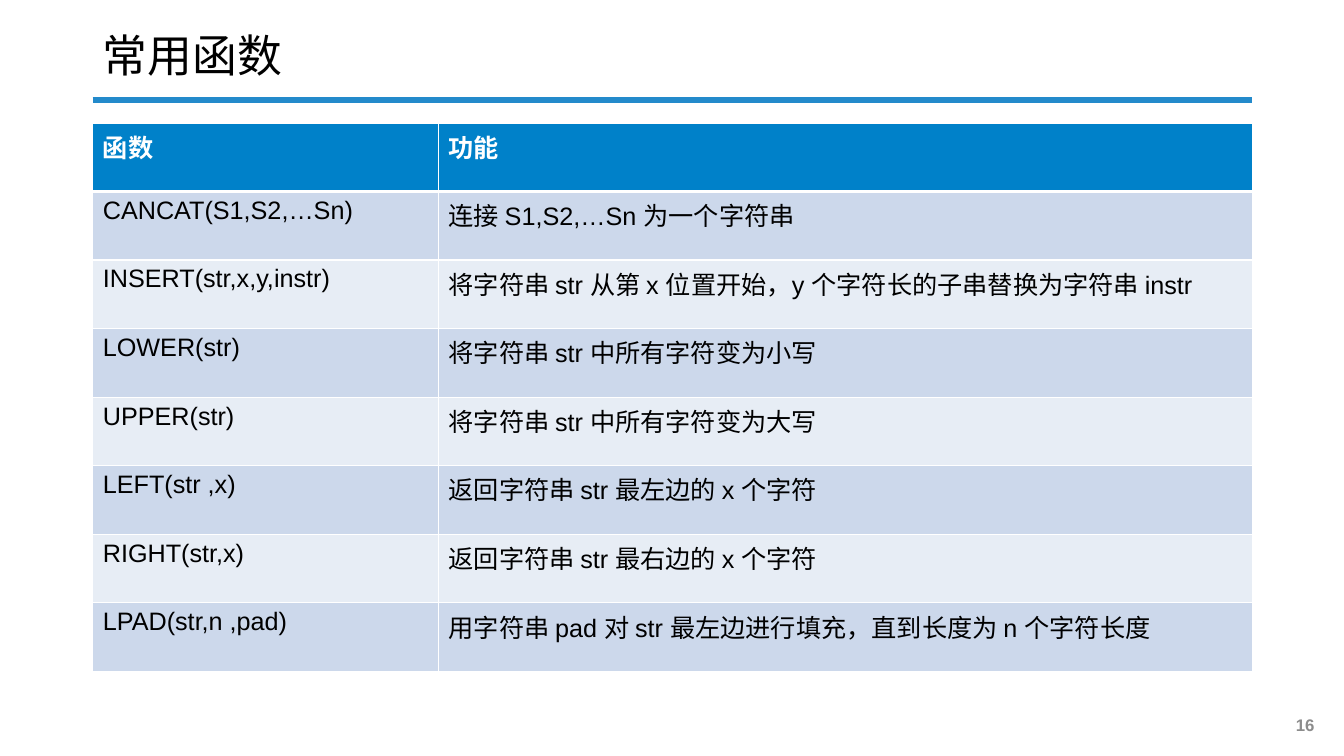
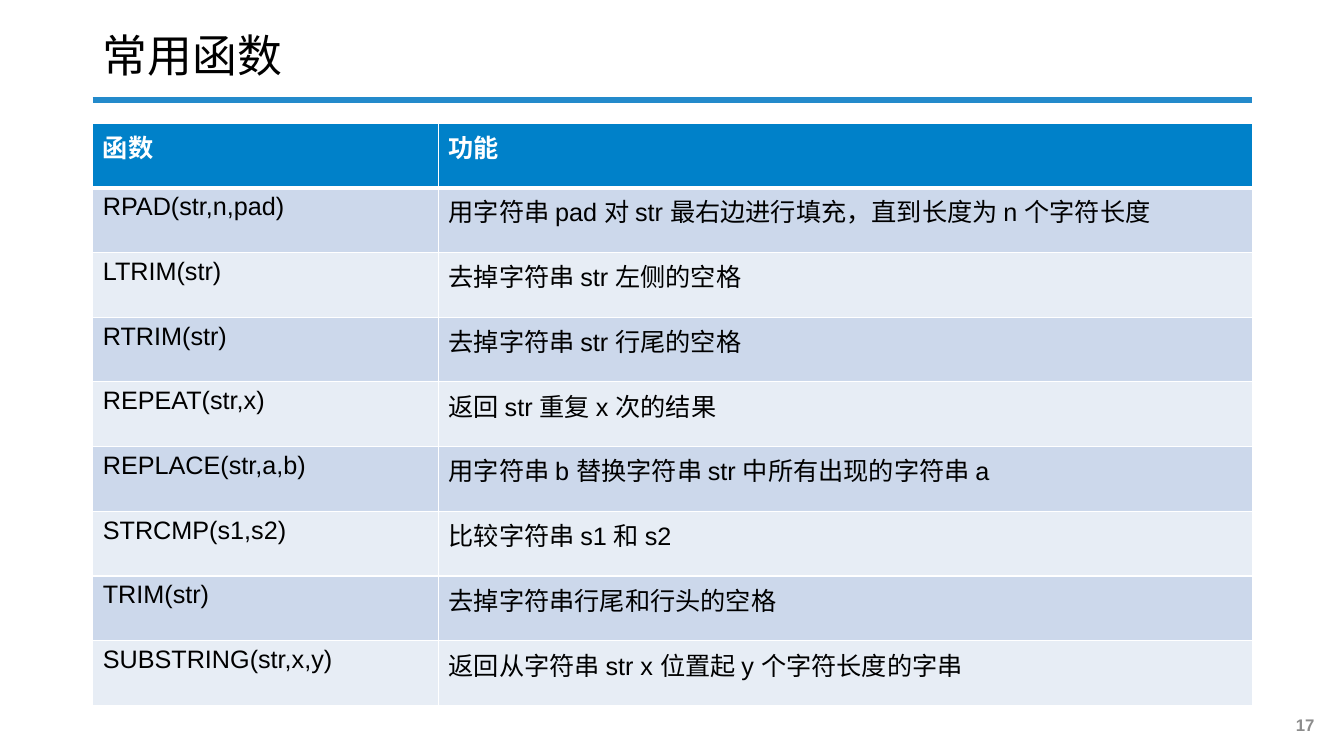
from lxml.etree import SubElement as Sub
from pptx import Presentation
from pptx.dml.color import RGBColor as Rgb
from pptx.enum.shapes import MSO_CONNECTOR as Link
from pptx.enum.text import MSO_ANCHOR as Anchor, MSO_AUTO_SIZE as Auto, PP_ALIGN as Align
from pptx.oxml.ns import qn
from pptx.util import Pt

PX = 9144
WHITE = Rgb(0xFF, 0xFF, 0xFF)
BLACK = Rgb(0x00, 0x00, 0x00)
GREY = Rgb(0x8C, 0x8C, 0x8C)
RULE = Rgb(0x23, 0x8A, 0xCB)
HEAD = Rgb(0x00, 0x81, 0xC9)
BANDS = Rgb(0xE7, 0xED, 0xF5), Rgb(0xCC, 0xD8, 0xEB)
LATIN = "Arial"
HAN = "Noto Sans CJK SC"
LEFT, WIDTH = 92, 1150
COLS = 343, 807

TITLE = {"size": Pt(32), "name": HAN, "bold": False}
NUMBER = {"size": Pt(12), "name": LATIN, "bold": True}
TOP = {"size": Pt(18), "name": LATIN, "bold": True}
BODY = {"size": Pt(18), "name": LATIN, "bold": False}

PAGES = [
    (16, 544, [
        ("CANCAT(S1,S2,…Sn)", "连接 S1,S2,…Sn 为一个字符串"),
        ("INSERT(str,x,y,instr)", "将字符串 str 从第 x 位置开始，y 个字符长的子串替换为字符串 instr"),
        ("LOWER(str)", "将字符串 str 中所有字符变为小写"),
        ("UPPER(str)", "将字符串 str 中所有字符变为大写"),
        ("LEFT(str ,x)", "返回字符串 str 最左边的 x 个字符"),
        ("RIGHT(str,x)", "返回字符串 str 最右边的 x 个字符"),
        ("LPAD(str,n ,pad)", "用字符串 pad 对 str 最左边进行填充，直到长度为 n 个字符长度"),
    ]),
    (17, 578, [
        ("RPAD(str,n,pad)", "用字符串 pad 对 str 最右边进行填充，直到长度为 n 个字符长度"),
        ("LTRIM(str)", "去掉字符串 str 左侧的空格"),
        ("RTRIM(str)", "去掉字符串 str 行尾的空格"),
        ("REPEAT(str,x)", "返回 str 重复 x 次的结果"),
        ("REPLACE(str,a,b)", "用字符串 b 替换字符串 str 中所有出现的字符串 a"),
        ("STRCMP(s1,s2)", "比较字符串 s1 和 s2"),
        ("TRIM(str)", "去掉字符串行尾和行头的空格"),
        ("SUBSTRING(str,x,y)", "返回从字符串 str x 位置起 y 个字符长度的字串"),
    ]),
]


class Deck:
    def __init__(self):
        self.prs = Presentation()
        self.prs.slide_width = 1333 * PX
        self.prs.slide_height = 750 * PX

    def start(self, title, number):
        self.slide = self.prs.slides.add_slide(self.prs.slide_layouts[5])
        self.rule(LEFT, 99, LEFT + WIDTH)
        self.title(title)
        self.number(number)

    def text(self, frame, words, style, color, align=Align.LEFT):
        para = frame.paragraphs[0]
        para.alignment = align
        run = para.add_run()
        run.text = words
        for key, value in style.items():
            setattr(run.font, key, value)
        run.font.color.rgb = color
        Sub(run.font._element, qn("a:ea"), typeface=HAN)
        return para

    def rule(self, left, top, right):
        line = self.slide.shapes.add_connector(
            Link.STRAIGHT, left * PX, top * PX, right * PX, top * PX)
        line.line.color.rgb = RULE
        line.line.width = Pt(4.5)
        Sub(line._element.spPr, qn("a:effectLst"))

    def title(self, words):
        shape = self.slide.shapes.title
        box = {"left": LEFT, "top": 20, "width": WIDTH, "height": 76}
        for key, value in box.items():
            setattr(shape, key, value * PX)
        frame = shape.text_frame
        frame.auto_size = Auto.NONE
        frame.vertical_anchor = Anchor.MIDDLE
        self.text(frame, words, TITLE, BLACK).line_spacing = 0.9

    def number(self, number):
        box = self.slide.shapes.add_textbox(1265 * PX, 699 * PX, 59 * PX, 40 * PX)
        frame = box.text_frame
        frame.word_wrap = True
        frame.vertical_anchor = Anchor.MIDDLE
        self.text(frame, str(number), NUMBER, GREY, Align.CENTER)

    def edge(self, cell, side, width):
        line = Sub(cell._tc.get_or_add_tcPr(), qn("a:ln" + side), w=str(Pt(width)))
        fill = Sub(line, qn("a:solidFill"))
        Sub(fill, qn("a:srgbClr"), val=str(WHITE))

    def table(self, height, rows):
        count = len(rows)
        grid = self.slide.shapes.add_table(
            count, len(COLS), LEFT * PX, 122 * PX, WIDTH * PX, height * PX).table
        for col, width in zip(grid.columns, COLS):
            col.width = width * PX
        for r, row in enumerate(rows):
            grid.rows[r].height = height * PX // count
            for c, words in enumerate(row):
                cell = grid.cell(r, c)
                sides = {"L": 1, "R": 1, "T": 3 if r == 1 else 1, "B": 1 if r else 3}
                for side, width in sides.items():
                    self.edge(cell, side, width)
                cell.fill.solid()
                cell.fill.fore_color.rgb = BANDS[r % 2] if r else HEAD
                style, color = (BODY, BLACK) if r else (TOP, WHITE)
                self.text(cell.text_frame, words, style, color)


def main():
    deck = Deck()
    for number, height, rows in PAGES:
        deck.start("常用函数", number)
        deck.table(height, [("函数", "功能"), *rows])
    deck.prs.save("out.pptx")


if __name__ == "__main__":
    main()
